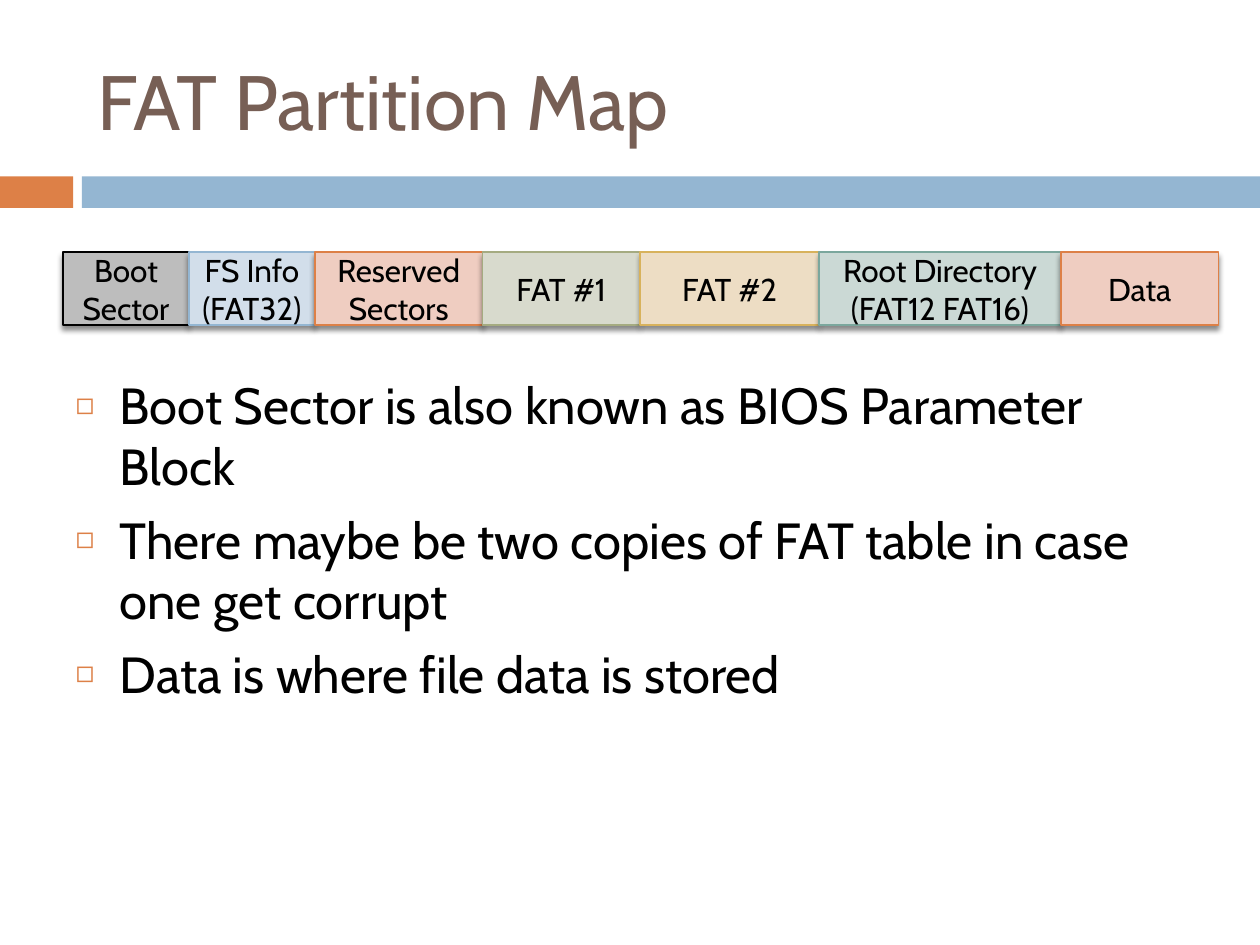
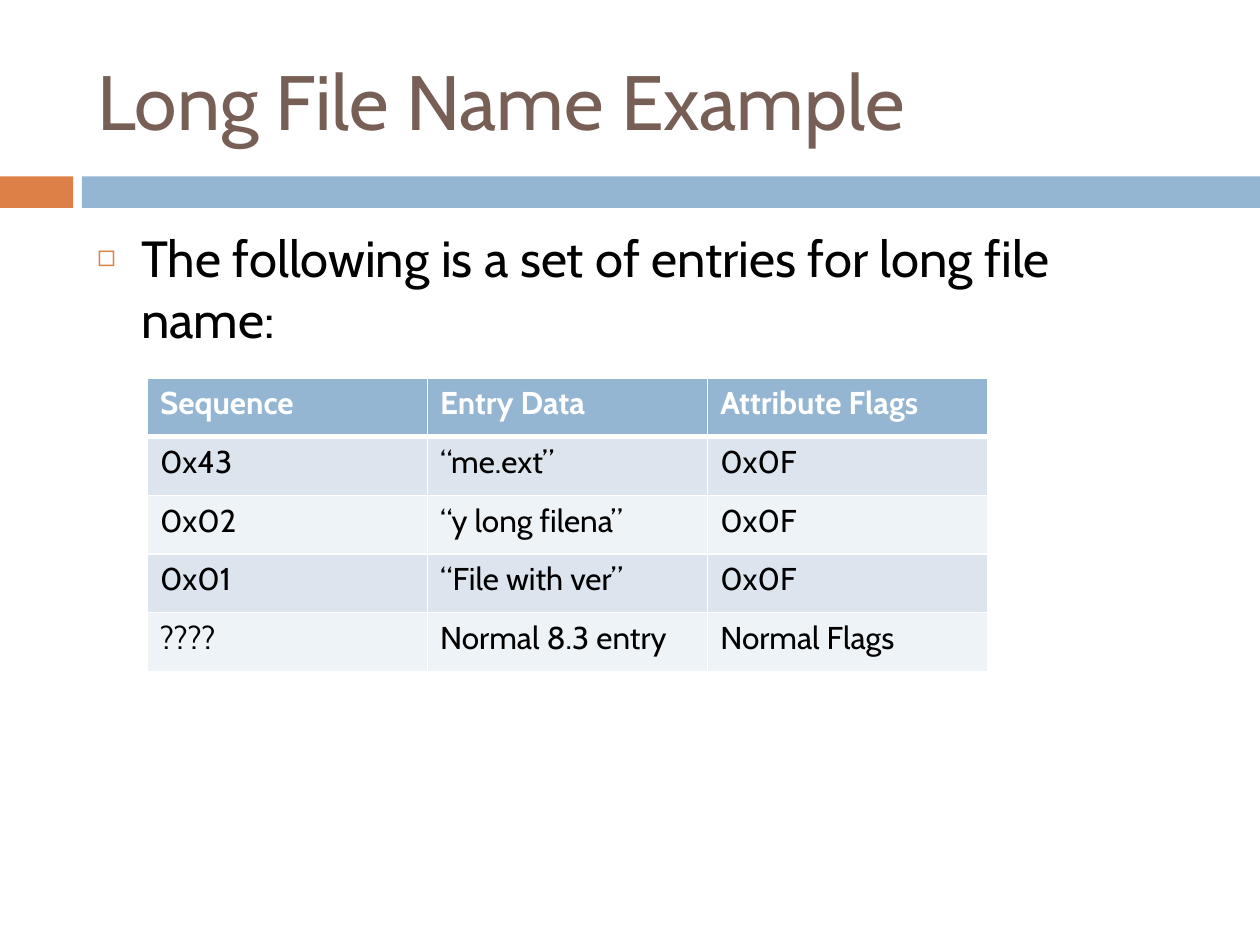
"""Build two slides on FAT: the partition map and a long file name example."""
import pptx
import pptx.util
import pptx.dml.color
import pptx.enum.shapes
import pptx.enum.text
import pptx.oxml
import pptx.oxml.ns
from lxml import etree

Inches, Pt = pptx.util.Inches, pptx.util.Pt
ALIGN, ANCHOR = pptx.enum.text.PP_ALIGN, pptx.enum.text.MSO_ANCHOR
qn = pptx.oxml.ns.qn

FONT = "Cabin"
COLORS = {
    "white": "FFFFFF", "black": "000000", "title": "775F55",
    "orange": "DD8047", "blue": "94B6D2", "green": "A5AB81",
    "gold": "D8B25C", "teal": "7BA79D",
    "pale black": "BDBDBD", "pale blue": "D2DEEA", "pale orange": "EFCDC1",
    "pale green": "D8DACD", "pale gold": "EDDDC4", "pale teal": "CBD9D5",
    "odd row": "DCE5EE", "even row": "EEF3F7",
}

MAP_TITLE = "FAT Partition Map"
PARTITIONS = [
    (["Boot", "Sector"], 1, "black"),
    (["FS Info", "(FAT32)"], 1, "blue"),
    (["Reserved", "Sectors"], 1.33, "orange"),
    (["FAT #1"], 1.25, "green"),
    (["FAT #2"], 1.42, "gold"),
    (["Root Directory (FAT12 FAT16)"], 1.92, "teal"),
    (["Data"], 1.25, "orange"),
]
MAP_POINTS = [
    "Boot Sector is also known as BIOS Parameter Block",
    "There maybe be two copies of FAT table in case one get corrupt",
    "Data is where file data is stored",
]

NAME_TITLE = "Long File Name Example"
NAME_POINTS = ["The following is a set of entries for long file name:"]
ENTRIES = [
    ("Sequence", "Entry Data", "Attribute Flags"),
    ("0x43", "“me.ext”", "0x0F"),
    ("0x02", "“y long filena”", "0x0F"),
    ("0x01", "“File with ver”", "0x0F"),
    ("????", "Normal 8.3 entry", "Normal Flags"),
]


def rgb(name):
    return pptx.dml.color.RGBColor.from_string(COLORS[name])


def add_xml(parent, xml):
    ns = pptx.oxml.ns.nsdecls("a")
    tag, rest = xml[1:].split(" ", 1)
    parent.append(pptx.oxml.parse_xml(f"<{tag} {ns} {rest}"))


def write(tf, lines, size=18, color="black", bold=False, align=ALIGN.LEFT,
          bullet=False):
    for i, line in enumerate(lines):
        p = tf.add_paragraph() if i else tf.paragraphs[0]
        p.alignment = align
        p.space_before = Pt(7 if bullet else 0)
        r = p.add_run()
        r.text = line
        r.font.name, r.font.size, r.font.bold = FONT, Pt(size), bold
        r.font.color.rgb = rgb(color)
        if bullet:
            pPr = p._p.get_or_add_pPr()
            pPr.set("marL", str(Inches(0.35)))
            pPr.set("indent", str(-Inches(0.35)))
            add_xml(pPr, f'<a:buClr ><a:srgbClr val="{COLORS["orange"]}"/></a:buClr>')
            add_xml(pPr, '<a:buSzPct val="60000"/>')
            add_xml(pPr, '<a:buChar char="◻"/>')


def place(sp, left, top, width, height, anchor):
    sp.left, sp.top = Inches(left), Inches(top)
    sp.width, sp.height = Inches(width), Inches(height)
    tf = sp.text_frame
    tf.word_wrap = True
    tf.auto_size = pptx.enum.text.MSO_AUTO_SIZE.NONE
    tf.vertical_anchor = anchor
    return tf


def add_rect(s, left, top, width, height, fill, line=None):
    sp = s.shapes.add_shape(pptx.enum.shapes.MSO_SHAPE.RECTANGLE, Inches(left),
                            Inches(top), Inches(width), Inches(height))
    sp.shadow.inherit = False
    sp.fill.solid()
    sp.fill.fore_color.rgb = rgb(fill)
    if line:
        sp.line.color.rgb = rgb(line)
        sp.line.width = Pt(0.79)
    else:
        sp.line.fill.background()
    return sp


def add_slide(prs, title, points, body_box):
    s = prs.slides.add_slide(prs.slide_layouts[1])
    add_rect(s, 0, 1.4, 0.58, 0.25, "orange")
    add_rect(s, 0.65, 1.4, 9.35, 0.25, "blue")
    tf = place(s.shapes.title, 0.67, 0.25, 8.92, 1.08, ANCHOR.MIDDLE)
    write(tf, [title], size=44, color="title")
    tf = place(s.placeholders[1], *body_box, ANCHOR.TOP)
    write(tf, points, size=29, bullet=True)
    return s


def add_partitions(s, left, top, height):
    for lines, width, color in PARTITIONS:
        sp = add_rect(s, left, top, width, height, "pale " + color, color)
        add_xml(sp._element.spPr.find(qn("a:effectLst")),
                f'<a:outerShdw blurRad="{Pt(3)}" dist="{Pt(2.4)}" dir="5400000" '
                'rotWithShape="0"><a:srgbClr val="000000"><a:alpha val="45000"/>'
                '</a:srgbClr></a:outerShdw>')
        tf = sp.text_frame
        tf.word_wrap = True
        tf.vertical_anchor = ANCHOR.MIDDLE
        write(tf, lines, align=ALIGN.CENTER)
        left += width


def add_entries(s, left, top, width, height):
    table = s.shapes.add_table(len(ENTRIES), len(ENTRIES[0]), Inches(left),
                               Inches(top), Inches(width), Inches(height)).table
    for i, entry in enumerate(ENTRIES):
        fill = "blue" if i == 0 else "odd row" if i % 2 else "even row"
        borders = {"L": 1, "R": 1, "T": 3 if i == 1 else 1, "B": 1 if i else 3}
        for j, text in enumerate(entry):
            cell = table.cell(i, j)
            tcPr = cell._tc.get_or_add_tcPr()
            for side, weight in borders.items():
                add_xml(tcPr, f'<a:ln{side} w="{Pt(weight)}"><a:solidFill><a:srgbClr '
                              f'val="{COLORS["white"]}"/></a:solidFill></a:ln{side}>')
            cell.fill.solid()
            cell.fill.fore_color.rgb = rgb(fill)
            write(cell.text_frame, [text], bold=i == 0,
                  color="black" if i else "white")


def main():
    prs = pptx.Presentation()
    prs.slide_width, prs.slide_height = Inches(10), Inches(7.5)
    s = add_slide(prs, MAP_TITLE, MAP_POINTS, (0.5, 2.92, 9, 3.78))
    add_partitions(s, 0.5, 2, 0.58)
    s = add_slide(prs, NAME_TITLE, NAME_POINTS, (0.67, 1.75, 8.92, 4.92))
    add_entries(s, 1.17, 3, 6.67, 2.33)
    prs.save("out.pptx")


if __name__ == "__main__":
    main()
